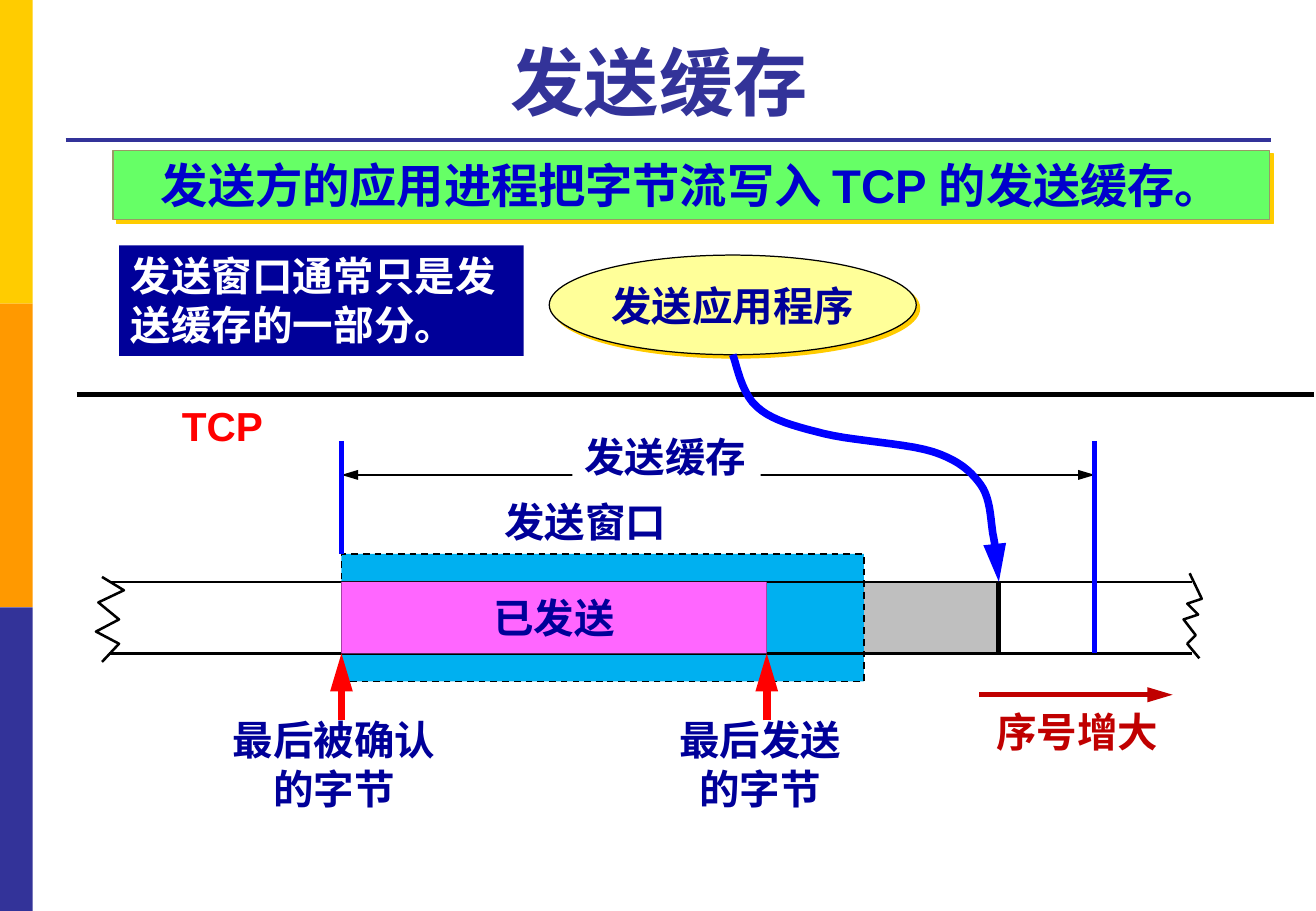
import pptx
import pptx.util
import pptx.dml.color
import pptx.enum.dml
import pptx.enum.shapes
import pptx.enum.text
import pptx.oxml
import pptx.oxml.ns
from pptx.util import Inches

SHAPE = pptx.enum.shapes.MSO_SHAPE
ALIGN = pptx.enum.text.PP_ALIGN
ANCHOR = pptx.enum.text.MSO_ANCHOR
NS = pptx.oxml.ns.nsdecls("a")
NAVY, BLACK, BLUE, RED, BRICK = "000099", "000000", "0000FF", "FF0000", "C00000"


def color(code):
    return pptx.dml.color.RGBColor.from_string(code)


def node(xml):
    """Build one a: element, given as its tag and content."""
    name, rest = xml.split(" ", 1)
    return pptx.oxml.parse_xml(f"<a:{name} {NS} {rest}")


def bezier(start, curves, steps=10):
    """Return points along a chain of cubic curves."""
    points = [start]
    for one, two, end in curves:
        first = points[-1]
        for i in range(1, steps + 1):
            t = i / steps
            u = 1 - t
            points.append(tuple(
                u**3 * a + 3 * u * u * t * b + 3 * u * t * t * c + t**3 * d
                for a, b, c, d in zip(first, one, two, end)))
    return points


class Deck:
    """Holds the font, the default text style and the current slide."""
    font, size, ink = "Arial", 24, NAVY

    def __init__(self, wide, high):
        self.show = pptx.Presentation()
        self.show.slide_width, self.show.slide_height = Inches(wide), Inches(high)
        self.slide = self.show.slides.add_slide(self.show.slide_layouts[6])
        self.shapes = self.slide.shapes

    def stroke(self, item, ink, width, head=False, tail=False):
        item.line.color.rgb = color(ink)
        item.line.width = pptx.util.Pt(width)
        ends = item.line._get_or_add_ln()
        for name, used in (("headEnd", head), ("tailEnd", tail)):
            if used:
                ends.append(node(f'{name} type="triangle" w="med" len="lg"/>'))

    def label(self, item, text, size=None, ink=None, align=ALIGN.CENTER,
              anchor=ANCHOR.TOP, wrap=False):
        frame = item.text_frame
        frame.text = text
        frame.word_wrap = wrap
        frame.vertical_anchor = anchor
        for par in frame.paragraphs:
            par.alignment = align
            par.font.name, par.font.bold = self.font, True
            par.font.size = pptx.util.Pt(size or self.size)
            par.font.color.rgb = color(ink or self.ink)

    def text(self, box, text, **style):
        self.label(self.shapes.add_textbox(*map(Inches, box)), text, **style)

    def block(self, box, fill, text="", kind=SHAPE.RECTANGLE, edge=None,
              width=0.75, dash=False, glow=None, **style):
        item = self.shapes.add_shape(kind, *map(Inches, box))
        item.shadow.inherit = False
        item.fill.solid()
        item.fill.fore_color.rgb = color(fill)
        if edge:
            self.stroke(item, edge, width)
        else:
            item.line.fill.background()
        if dash:
            item.line.dash_style = pptx.enum.dml.MSO_LINE.DASH
        if glow:
            item._element.spPr.find(pptx.oxml.ns.qn("a:effectLst")).append(node(
                'outerShdw dist="35560" dir="2700000" algn="ctr" rotWithShape="0">'
                f'<a:srgbClr val="{glow}"/></a:outerShdw>'))
        if text:
            self.label(item, text, **style)

    def line(self, x1, y1, x2, y2, ink, width, **ends):
        item = self.shapes.add_connector(
            pptx.enum.shapes.MSO_CONNECTOR.STRAIGHT, *map(Inches, (x1, y1, x2, y2)))
        self.stroke(item, ink, width, **ends)
        item._element.spPr.append(node("effectLst />"))

    def trace(self, points, ink, width, **ends):
        """Draw an open outline through the points."""
        spots = [(Inches(x), Inches(y)) for x, y in points]
        pen = self.shapes.build_freeform(*spots[0])
        pen.add_line_segments(spots[1:], close=False)
        item = pen.convert_to_shape()
        item.shadow.inherit = False
        item.fill.background()
        self.stroke(item, ink, width, **ends)


def main():
    deck = Deck(10.83, 7.5)
    for i, fill in enumerate(("FFCC00", "FF9900", "333399")):
        deck.block((0, 2.5 * i, 0.27, 2.5), fill)
    deck.line(0.54, 1.15, 10.46, 1.15, "333399", 2.25)
    deck.text((0.54, 0.21, 9.91, 0.87), "发送缓存 ", size=44, ink="333399",
              anchor=ANCHOR.BOTTOM, wrap=True)

    # Stream of bytes: edges of the band and marks along it
    top, low = 4.79, 5.38
    acked, sent, filled, end = 2.81, 6.31, 8.22, 9.01
    tall = low - top

    deck.line(acked, 3.91, end, 3.91, BLACK, 1.5, head=True, tail=True)
    deck.block((sent, top, filled - sent, tall), "BFBFBF")
    deck.block((4.52, 2.1, 3.02, 0.82), "FFFF99", "发送应用程序", kind=SHAPE.OVAL,
               edge=BLACK, glow="FFCC00", anchor=ANCHOR.MIDDLE)
    deck.line(0.63, 3.25, 10.81, 3.25, BLACK, 3)
    deck.block((acked, 4.56, 4.3, 1.05), "00B0F0", edge=BLACK, width=1, dash=True)
    for y in (top, low):
        deck.line(0.9, y, 9.81, y, BLACK, 1.5)
    for x, width in ((acked, 0.75), (sent, 0.75), (filled, 3)):
        deck.line(x, top, x, low, BLACK, width)
    deck.block((4.71, 3.51, 1.55, 0.5), "FFFFFF", "发送缓存", align=ALIGN.LEFT)
    deck.text((4.05, 4.04, 1.55, 0.5), "发送窗口", align=ALIGN.LEFT)
    deck.block((acked, top, sent - acked, tall), "FF66FF", "已发送",
               anchor=ANCHOR.MIDDLE)

    for x in (acked, sent):
        deck.line(x, 5.93, x, low, RED, 4.5, tail=True)
    deck.text((1.81, 5.84, 1.88, 0.91), "最后被确认\n的字节")
    deck.text((5.48, 5.84, 1.55, 0.91), "最后发送\n的字节")
    for x, y in ((acked, 4.56), (end, low)):
        deck.line(x, 3.63, x, y, BLUE, 3)
    deck.trace(bezier((6.03, 2.92), [
        ((6.06, 2.99), (6.1, 3.24), (6.23, 3.35)),
        ((6.35, 3.46), (6.54, 3.51), (6.78, 3.57)),
        ((7.02, 3.63), (7.46, 3.65), (7.68, 3.72)),
        ((7.89, 3.79), (7.99, 3.88), (8.07, 3.99)),
        ((8.15, 4.1), (8.15, 4.26), (8.17, 4.39)),
        ((8.2, 4.53), (8.21, 4.71), (filled, top)),
    ]), BLUE, 4.5, tail=True)
    deck.text((1.39, 3.25, 0.88, 0.5), "TCP", ink=RED)

    # Torn ends of the band
    deck.trace([(9.79, 4.72), (9.89, 4.93), (9.77, 4.97), (9.86, 5.06),
                (9.74, 5.1), (9.84, 5.23), (9.77, 5.3), (9.87, 5.42)], BLACK, 1.5)
    deck.trace([(0.84, 4.75), (1.02, 4.86), (0.81, 4.96), (0.98, 5.1),
                (0.79, 5.2), (0.98, 5.3), (0.84, 5.45)], BLACK, 1.5)

    deck.line(8.06, 5.72, 9.65, 5.72, BRICK, 3, tail=True)
    deck.text((8.09, 5.77, 1.55, 0.5), "序号增大", ink=BRICK)
    deck.block((0.93, 1.24, 9.52, 0.57), "66FF66",
               "发送方的应用进程把字节流写入 TCP 的发送缓存。", edge="999966",
               glow="FFCC00", size=28, ink="0000CC", wrap=True)
    deck.block((0.98, 2.02, 3.33, 0.91), NAVY, "发送窗口通常只是发送缓存的一部分。",
               ink="FFFFFF", align=ALIGN.LEFT, wrap=True)
    deck.show.save("out.pptx")


if __name__ == "__main__":
    main()
